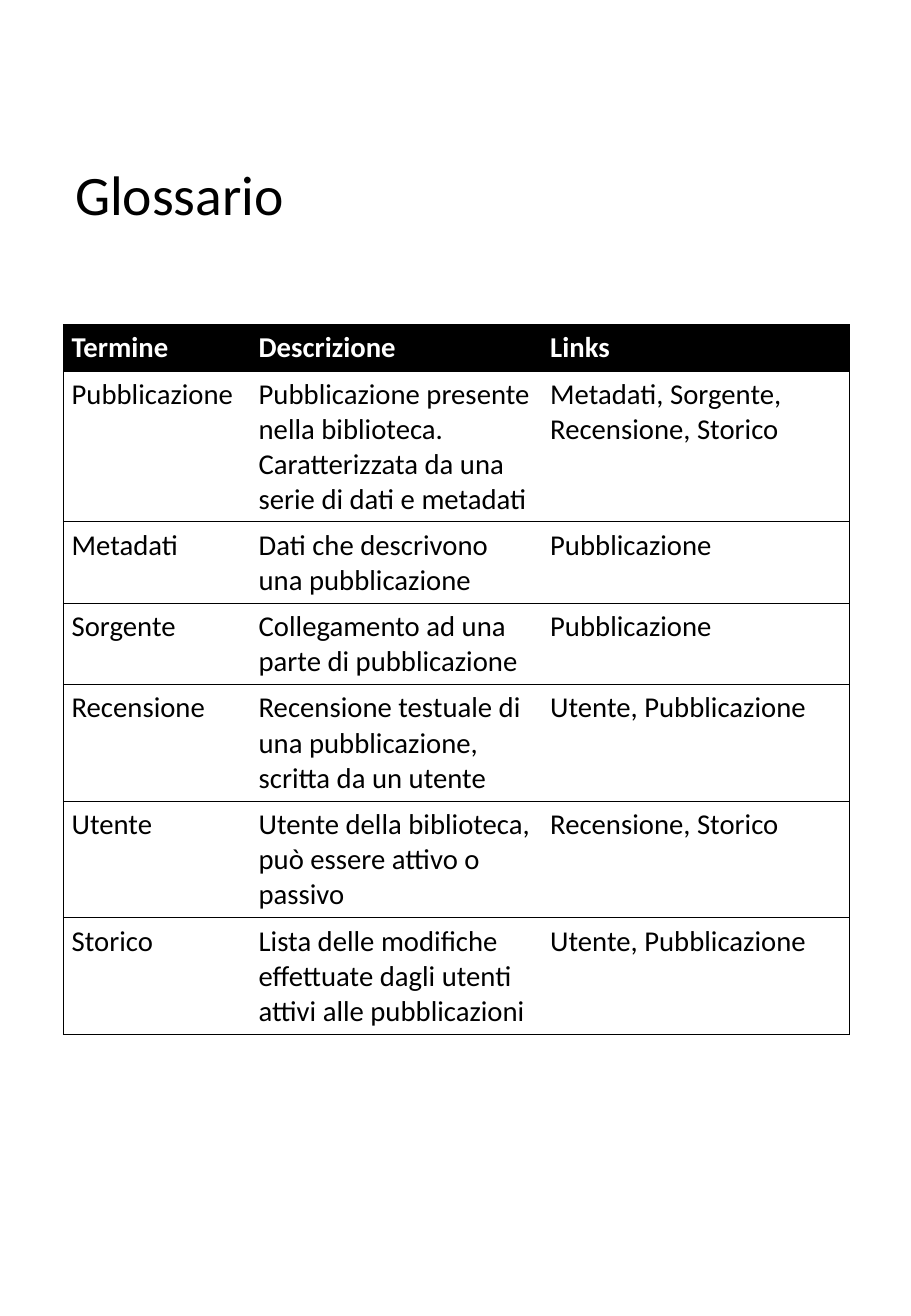
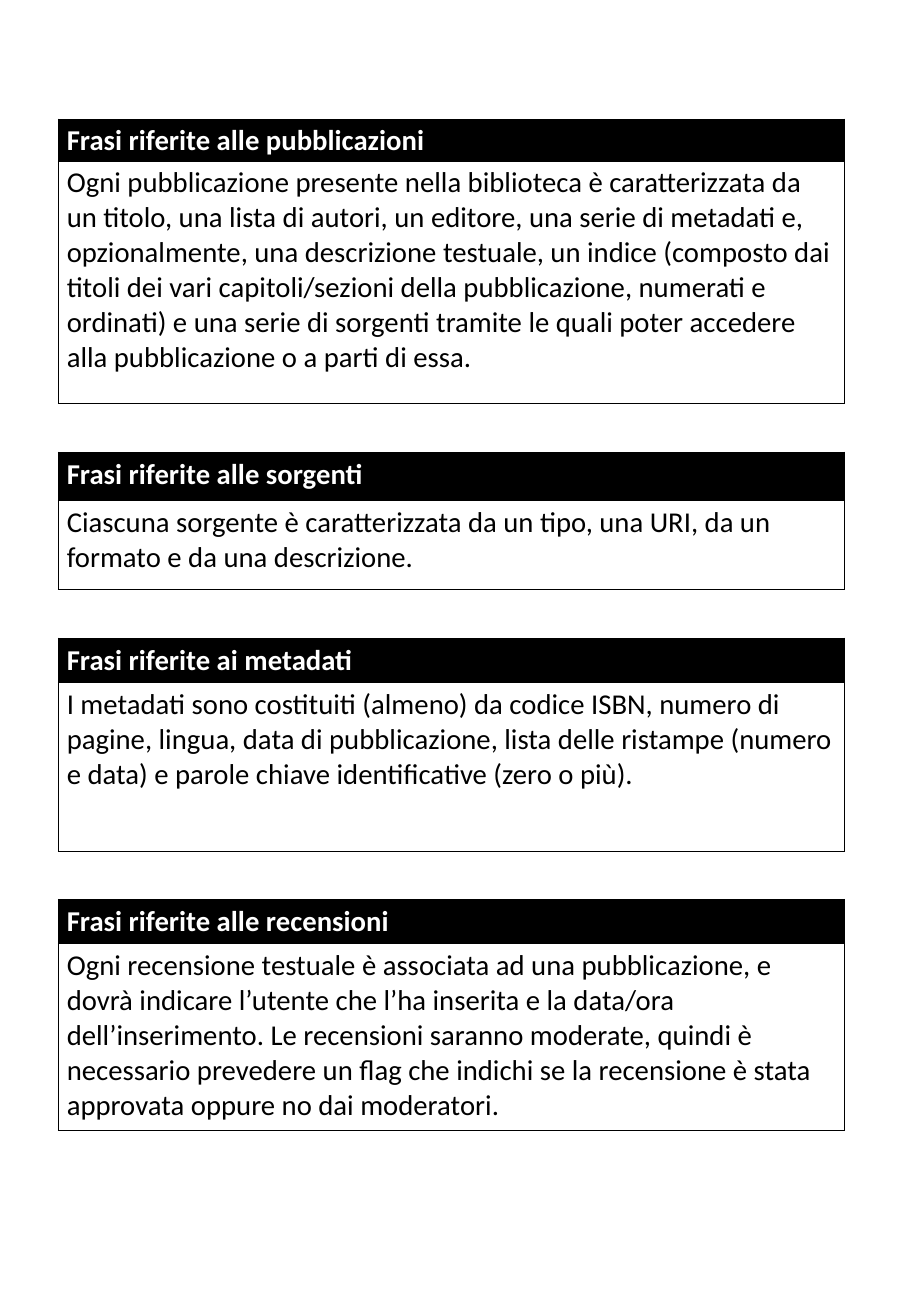
"""Build the glossary slide and the slide of grouped requirement sentences."""
from dataclasses import dataclass

from pptx import Presentation
from pptx.dml.color import RGBColor
from pptx.enum import text as txt
from pptx.oxml import ns, parse_xml
from pptx.util import Pt

PX = 9144
PLAIN = "{2D5ABB26-0587-4C30-8999-92F81FD0307C}"


@dataclass(frozen=True)
class Theme:
    """Colours, font and type sizes."""
    ink: str = "000000"
    paper: str = "FFFFFF"
    font: str = "Calibri"
    title: int = 33
    body: int = 17
    line: float = 0.5


@dataclass(frozen=True)
class Grid:
    """One bordered table with a dark header row."""
    left: int
    top: int
    cols: tuple[int, ...]
    rows: tuple[int, ...]
    pad: int
    cells: tuple[tuple[str, ...], ...]


@dataclass(frozen=True)
class Group:
    """A heading with its sentences, as placed on the second slide."""
    top: int
    rows: tuple[int, int]
    pad: int
    head: str
    body: str


THEME = Theme()
TERMS = Grid(
    52, 267, (154, 240, 253), (38, 124, 67, 67, 96, 96, 96), 5, (
        ("Termine", "Descrizione", "Links"),
        ("Pubblicazione",
         "Pubblicazione presente nella biblioteca. Caratterizzata da una "
         "serie di dati e metadati",
         "Metadati, Sorgente, Recensione, Storico"),
        ("Metadati", "Dati che descrivono una pubblicazione", "Pubblicazione"),
        ("Sorgente", "Collegamento ad una parte di pubblicazione",
         "Pubblicazione"),
        ("Recensione",
         "Recensione testuale di una pubblicazione, scritta da un utente",
         "Utente, Pubblicazione"),
        ("Utente", "Utente della biblioteca, può essere attivo o passivo",
         "Recensione, Storico"),
        ("Storico",
         "Lista delle modifiche effettuate dagli utenti attivi alle "
         "pubblicazioni",
         "Utente, Pubblicazione"),
    ))
GROUPS = (
    Group(98, (35, 199), 3, "Frasi riferite alle pubblicazioni",
          "Ogni pubblicazione presente nella biblioteca è caratterizzata da "
          "un titolo, una lista di autori, un editore, una serie di metadati "
          "e, opzionalmente, una descrizione testuale, un indice (composto "
          "dai titoli dei vari capitoli/sezioni della pubblicazione, numerati "
          "e ordinati) e una serie di sorgenti tramite le quali poter "
          "accedere alla pubblicazione o a parti di essa."),
    Group(372, (40, 73), 4, "Frasi riferite alle sorgenti",
          "Ciascuna sorgente è caratterizzata da un tipo, una URI, da un "
          "formato e da una descrizione."),
    Group(525, (36, 139), 4, "Frasi riferite ai metadati",
          "I metadati sono costituiti (almeno) da codice ISBN, numero di "
          "pagine, lingua, data di pubblicazione, lista delle ristampe "
          "(numero e data) e parole chiave identificative (zero o più)."),
    Group(740, (36, 154), 4, "Frasi riferite alle recensioni",
          "Ogni recensione testuale è associata ad una pubblicazione, e dovrà "
          "indicare l’utente che l’ha inserita e la data/ora "
          "dell’inserimento. Le recensioni saranno moderate, quindi è "
          "necessario prevedere un flag che indichi se la recensione è stata "
          "approvata oppure no dai moderatori."),
)


def apply(item, values: dict) -> None:
    """Set each named value on an object."""
    for name, value in values.items():
        setattr(item, name, value)


def write(frame, words: str, size: int, tint: str, bold: bool = False) -> None:
    """Put one styled run into a text frame."""
    run = frame.paragraphs[0].add_run()
    run.text = words
    apply(run.font, {"name": THEME.font, "size": Pt(size), "bold": bold})
    run.font.color.rgb = RGBColor.from_string(tint)


def edge(cell, sides: str) -> None:
    """Draw thin lines on the named sides of a cell."""
    for side in sides:
        cell._tc.get_or_add_tcPr().append(parse_xml(
            f'<a:ln{side} {ns.nsdecls("a")} w="{Pt(THEME.line)}"><a:solidFill>'
            f'<a:srgbClr val="{THEME.ink}"/></a:solidFill></a:ln{side}>'))


def draw(slide, grid: Grid) -> None:
    """Draw a bordered table."""
    box = (grid.left, grid.top, sum(grid.cols), sum(grid.rows))
    table = slide.shapes.add_table(
        len(grid.rows), len(grid.cols), *(n * PX for n in box)).table
    apply(table, {"first_row": False, "horz_banding": False})
    table._tbl.tblPr.find(ns.qn("a:tableStyleId")).text = PLAIN
    for col, width in zip(table.columns, grid.cols):
        col.width = width * PX
    for row, height in zip(table.rows, grid.rows):
        row.height = height * PX
    pads = {"margin_left": 7 * PX, "margin_right": 7 * PX,
            "margin_top": grid.pad * PX, "margin_bottom": grid.pad * PX}
    for r, line in enumerate(grid.cells):
        head = r == 0
        fill, tint = ((THEME.ink, THEME.paper) if head
                      else (THEME.paper, THEME.ink))
        for c, words in enumerate(line):
            cell = table.cell(r, c)
            last = c == len(line) - 1
            edge(cell, ("L" if c == 0 else "") + ("R" if last else "") + "TB")
            cell.fill.solid()
            cell.fill.fore_color.rgb = RGBColor.from_string(fill)
            apply(cell, pads)
            write(cell.text_frame, words, THEME.body, tint, head)


def title(slide, words: str) -> None:
    """Write the slide title."""
    box = (52, 58, 647, 209)
    frame = slide.shapes.add_textbox(*(n * PX for n in box)).text_frame
    apply(frame, {"word_wrap": True,
                  "vertical_anchor": txt.MSO_ANCHOR.MIDDLE})
    frame.paragraphs[0].line_spacing = 0.9
    write(frame, words, THEME.title, THEME.ink)


def main() -> None:
    """Build and save both slides."""
    deck = Presentation()
    apply(deck, {"slide_width": 750 * PX, "slide_height": 1083 * PX})
    blank = deck.slide_layouts[6]
    first, second = (deck.slides.add_slide(blank) for _ in range(2))
    title(first, "Glossario")
    draw(first, TERMS)
    for g in GROUPS:
        draw(second, Grid(48, g.top, (647,), g.rows, g.pad,
                          ((g.head,), (g.body,))))
    deck.save("out.pptx")


if __name__ == "__main__":
    main()
